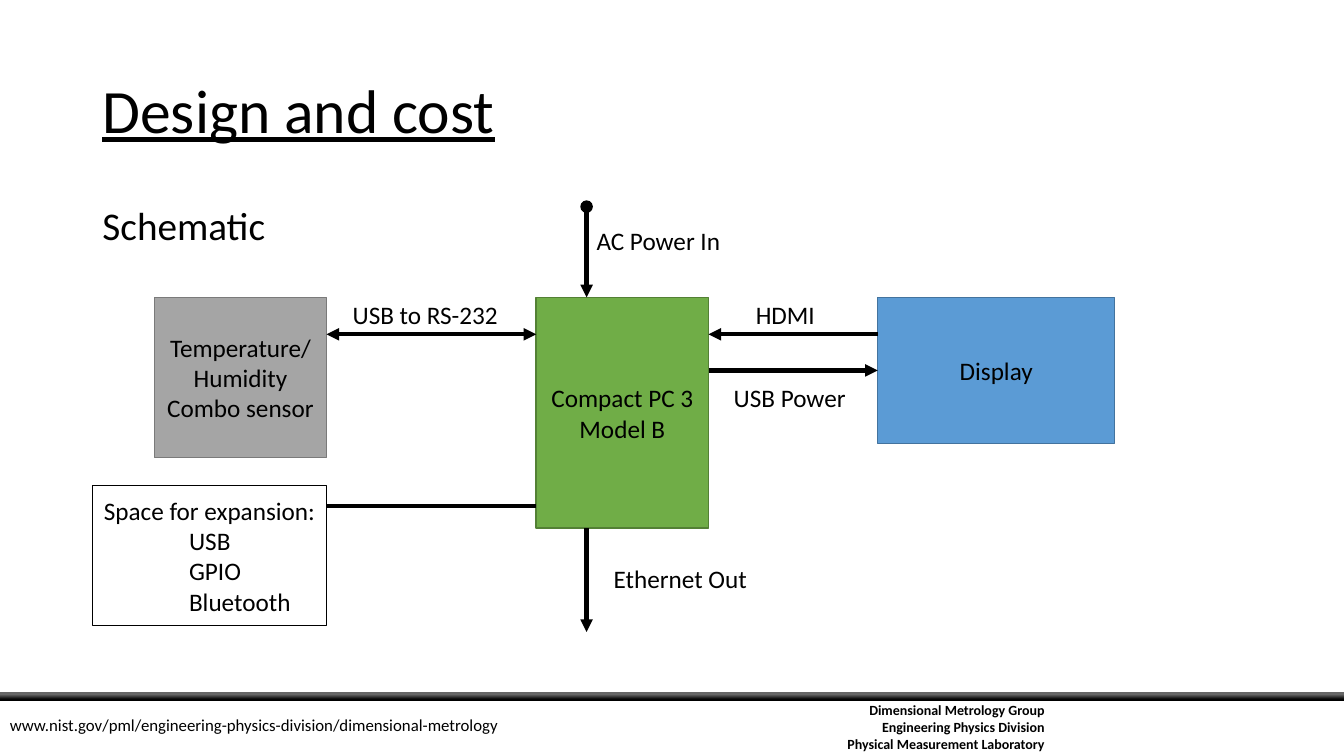
from dataclasses import dataclass

from lxml.etree import SubElement
from pptx import Presentation
from pptx.dml.color import RGBColor as RGB
from pptx.enum.shapes import MSO_CONNECTOR as Conn, MSO_SHAPE as Shape
from pptx.enum.text import MSO_ANCHOR as Anchor, PP_ALIGN as Align
from pptx.oxml.ns import qn
from pptx.util import Pt


@dataclass(frozen=True)
class Theme:
    font: str = "Calibri"
    ink: str = "000000"
    paper: str = "FFFFFF"
    green: tuple = ("70AD47", "538035")
    blue: tuple = ("5B9BD5", "43739E")
    gray: tuple = ("A5A5A5", "7A7A7A")
    plain: tuple = ("FFFFFF", "000000")
    fade: tuple = ((0, "000000"), (18, "080808"), (68, "666666"))
    title: int = 44
    head: int = 28
    text: int = 18
    link: int = 12
    small: int = 10


T = Theme()


def place(shape, x, y, w, h):
    shape.left, shape.top, shape.width, shape.height = Pt(x), Pt(y), Pt(w), Pt(h)


def write(shape, *lines, size=T.text, align=Align.LEFT, anchor=Anchor.TOP,
          bold=False, under=False, space=1.0, indent=0):
    """Fill a shape with one paragraph per line; indent applies after the first."""
    frame = shape.text_frame
    frame.word_wrap = True
    frame.vertical_anchor = anchor
    for i, line in enumerate(lines):
        para = frame.paragraphs[0] if i == 0 else frame.add_paragraph()
        para.text = line
        props = para._p.get_or_add_pPr()
        left = indent if i else 0
        props.set("marL", str(Pt(left)))
        props.set("indent", "0")
        SubElement(props, qn("a:buNone"))
        para.alignment = Align.LEFT if left else align
        para.line_spacing = space
        para.space_before = Pt(0)
        font = para.font
        font.name, font.size = T.font, Pt(size)
        font.bold, font.underline = bold, under
        font.color.rgb = RGB.from_string(T.ink)


def label(slide, text, x, y, w, h=29, **style):
    box = slide.shapes.add_textbox(Pt(x), Pt(y), Pt(w), Pt(h))
    write(box, *text.split("\n"), **style)


def block(slide, box, tone, *lines, **style):
    shape = slide.shapes.add_shape(Shape.RECTANGLE, *map(Pt, box))
    shape.shadow.inherit = False
    shape.fill.solid()
    shape.fill.fore_color.rgb = RGB.from_string(tone[0])
    shape.line.color.rgb = RGB.from_string(tone[1])
    shape.line.width = Pt(1)
    write(shape, *lines, align=Align.CENTER, anchor=Anchor.MIDDLE, **style)
    return shape


def wire(slide, start, end, head=None, tail=None):
    """Draw a line; head is the mark at its start, tail at its end."""
    line = slide.shapes.add_connector(Conn.STRAIGHT, *map(Pt, start + end))
    line.line.color.rgb = RGB.from_string(T.ink)
    line.line.width = Pt(3)
    props = line._element.spPr
    for tag, mark in (("a:headEnd", head), ("a:tailEnd", tail)):
        if mark:
            SubElement(props.find(qn("a:ln")), qn(tag), type=mark)
    SubElement(props, qn("a:effectLst"))
    return line


def heading(slide, x, y, w):
    title, body = slide.placeholders
    place(title, x, y, w, 104.4)
    write(title, "Design and cost", size=T.title, anchor=Anchor.MIDDLE,
          under=True, space=0.9)
    place(body, x, y + 115.2, w, 342.7)
    write(body, "Schematic", size=T.head, space=0.9)


def diagram(slide, x, y):
    top = y + 68.4
    wide, tall = 123.1, 164.9
    left, right = x + 167.3, x + 317
    edge, screen = right + wide, x + 561
    feed, high, mid = x + 353, top + 26.4, top + 52.2

    block(slide, (right, top, wide, tall), T.green, "Compact PC 3", "Model B")
    display = block(slide, (screen, top, 169.2, 104.4), T.blue, "Display")
    block(slide, (left - wide, top, wide, 114.5), T.gray,
          "Temperature/Humidity", "Combo sensor")
    block(slide, (x, y + 203, left - x, 100), T.plain,
          "Space for expansion:", "USB", "GPIO", "Bluetooth", indent=62)

    wire(slide, (feed, y + 3.6), (feed, top), "oval", "triangle")
    wire(slide, (screen, high), (edge, high), tail="triangle")
    power = wire(slide, (edge, mid), (screen, mid), tail="triangle")
    power.end_connect(display, 1)
    wire(slide, (left, high), (right, high), "triangle", "triangle")
    wire(slide, (feed, top + tall), (feed, y + 307.4), tail="triangle")
    wire(slide, (left, y + 217.4), (right, y + 217.4))

    label(slide, "AC Power In", feed, y + 13.7, 121)
    label(slide, "HDMI", edge + 26.7, top - 2.2, 67)
    label(slide, "USB Power", edge + 10.9, mid + 4.7, 105)
    label(slide, "USB to RS-232", left + 11.5, top - 2.2, 123)
    label(slide, "Ethernet Out", feed + 12.3, y + 254.9, 123)


def footer(slide, x, y, w):
    bar = slide.shapes.add_shape(Shape.RECTANGLE, Pt(x), Pt(y), Pt(w), Pt(6.5))
    bar.shadow.inherit = False
    bar.line.fill.background()
    bar.fill.gradient()
    bar.fill.gradient_angle = 90
    stops = bar._element.spPr.find(qn("a:gradFill")).find(qn("a:gsLst"))
    for stop in list(stops):
        stops.remove(stop)
    for pos, tone in T.fade:
        stop = SubElement(stops, qn("a:gs"), pos=str(pos * 1000))
        SubElement(stop, qn("a:srgbClr"), val=tone)
    label(slide, "Dimensional Metrology Group\nEngineering Physics Division\n"
          "Physical Measurement Laboratory", x + 559.4, y + 3.6, 193.7, 43.9,
          size=T.small, align=Align.RIGHT, bold=True)
    label(slide, "www.nist.gov/pml/engineering-physics-division/dimensional-metrology",
          x, y + 13, 475, 21.8, size=T.link)


def main():
    deck = Presentation()
    deck.slide_width, deck.slide_height = Pt(960), Pt(540)
    slide = deck.slides.add_slide(deck.slide_layouts[1])
    heading(slide, 66, 28.8, 828)
    footer(slide, 0, 494, 960)
    diagram(slide, 66, 144)
    deck.save("out.pptx")


if __name__ == "__main__":
    main()
